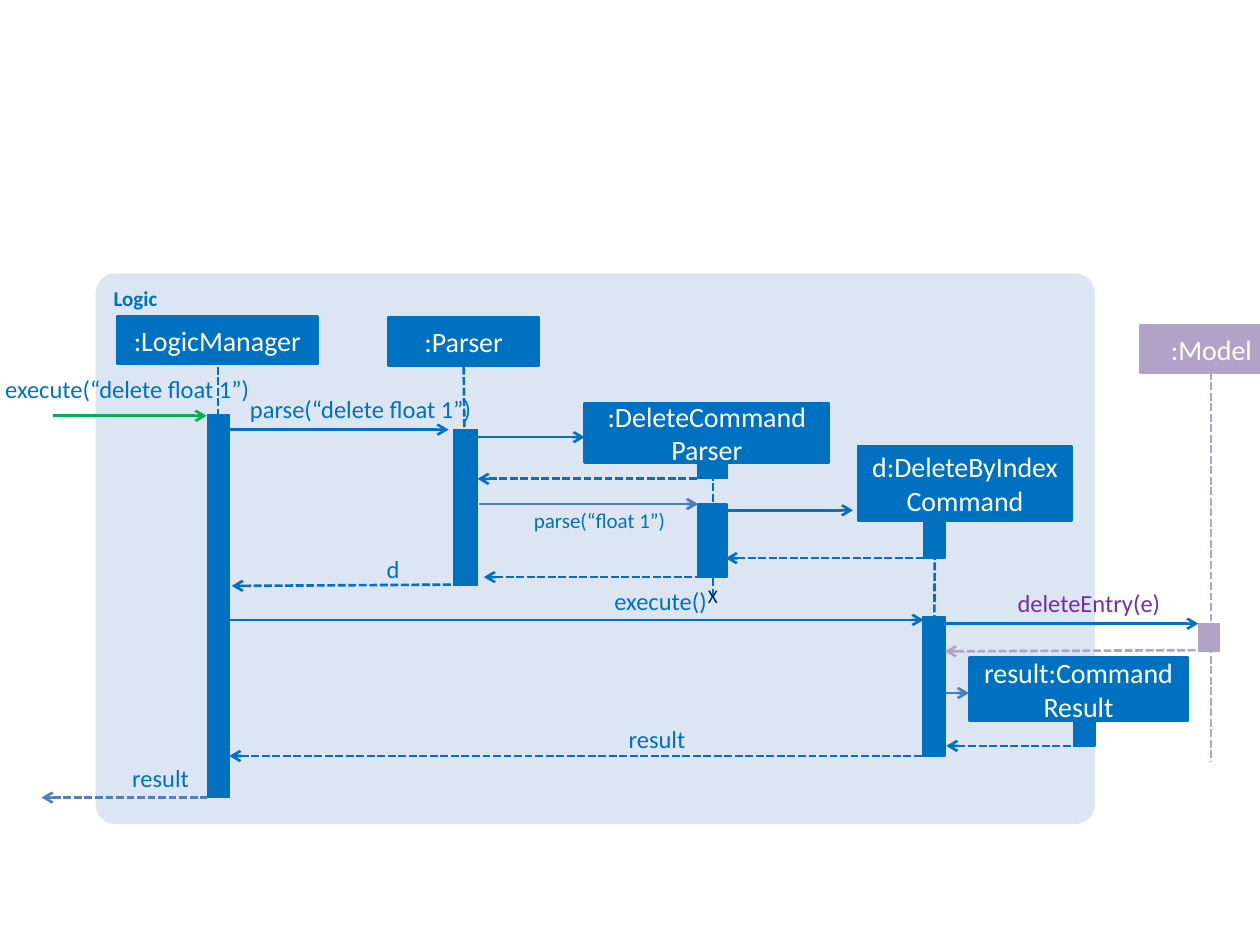
"""Build a sequence diagram of a delete command passing through the Logic component."""
from dataclasses import dataclass

from lxml.etree import SubElement
from pptx import Presentation
from pptx.dml.color import RGBColor
from pptx.enum.dml import MSO_LINE
from pptx.enum.shapes import MSO_CONNECTOR, MSO_SHAPE
from pptx.enum.text import MSO_ANCHOR as Anchor, MSO_AUTO_SIZE as AutoSize, PP_ALIGN as Align
from pptx.oxml.ns import qn
from pptx.util import Inches, Pt


@dataclass(frozen=True)
class Theme:
    """Colours, font and sizes of the diagram."""
    logic: str = "0070C0"
    model: str = "B3A2C7"
    panel: str = "DCE6F2"
    entry: str = "00B050"
    inner: str = "4B7EBC"
    outer: str = "4F81BD"
    model_call: str = "7030A0"
    destroyed: str = "002060"
    light: str = "FFFFFF"
    font: str = "Calibri"
    object_size: float = 16
    label_size: float = 14
    small_size: float = 12
    mark_size: float = 11
    line_width: float = 1.5
    bar_width: float = 0.75


def write(frame, text, *, font, size, color, bold=False, align=Align.LEFT, anchor=Anchor.TOP):
    """Fill a text frame, one paragraph per line; a vertical tab breaks within one."""
    frame.word_wrap = True
    frame.vertical_anchor = anchor
    for index, line in enumerate(text.split("\n")):
        paragraph = frame.paragraphs[0] if index == 0 else frame.add_paragraph()
        paragraph.text = line
        paragraph.alignment = align
        for run in paragraph.runs:
            run.font.name, run.font.size, run.font.bold = font, Pt(size), bold
            run.font.color.rgb = RGBColor.from_string(color)


class SequenceDiagram:
    """Draws sequence diagram elements on one slide in one style."""

    def __init__(self, slide, theme):
        self.shapes = slide.shapes
        self.theme = theme

    def block(self, place, fill, outline=None, kind=MSO_SHAPE.RECTANGLE):
        """Add a flat filled shape, outlined in its own colour if a width is given."""
        shape = self.shapes.add_shape(kind, *map(Inches, place))
        shape.shadow.inherit = False
        shape.fill.solid()
        shape.fill.fore_color.rgb = RGBColor.from_string(fill)
        if outline is None:
            shape.line.fill.background()
        else:
            shape.line.color.rgb = RGBColor.from_string(fill)
            shape.line.width = Pt(outline)
        return shape

    def component(self, text, place):
        """Add the rounded panel that encloses a component."""
        panel = self.block(place, self.theme.panel, kind=MSO_SHAPE.ROUNDED_RECTANGLE)
        panel.adjustments[0] = 0.035
        write(panel.text_frame, text, font=self.theme.font, size=self.theme.small_size,
              color=self.theme.logic, bold=True)

    def participant(self, text, place, color):
        """Add a named object box."""
        box = self.block(place, color, self.theme.line_width)
        write(box.text_frame, text, font=self.theme.font, size=self.theme.object_size,
              color=self.theme.light, align=Align.CENTER, anchor=Anchor.MIDDLE)

    def activation(self, place, color):
        """Add an activation bar."""
        self.block(place, color, self.theme.bar_width)

    def line(self, start, end, color, dashed=False, arrow_end=None):
        """Add a line, with an open arrow on its headEnd or tailEnd if asked."""
        connector = self.shapes.add_connector(
            MSO_CONNECTOR.STRAIGHT, *map(Inches, (*start, *end)))
        connector.line.color.rgb = RGBColor.from_string(color)
        connector.line.width = Pt(self.theme.line_width)
        if dashed:
            connector.line.dash_style = MSO_LINE.SQUARE_DOT
        properties = connector._element.spPr
        if arrow_end:
            SubElement(properties.find(qn("a:ln")), qn(f"a:{arrow_end}"), type="arrow")
        SubElement(properties, qn("a:effectLst"))

    def call(self, left, right, y, color):
        """Add a solid message arrow pointing right."""
        self.line((left, y), (right, y), color, arrow_end="tailEnd")

    def reply(self, left, right, y, color, right_y=None):
        """Add a dashed return arrow pointing left."""
        self.line((left, y), (right, right_y or y), color, dashed=True, arrow_end="headEnd")

    def label(self, text, place, color, size):
        """Add a right-aligned message label without insets."""
        frame = self.shapes.add_textbox(*map(Inches, place)).text_frame
        frame.margin_left = frame.margin_right = frame.margin_top = frame.margin_bottom = 0
        write(frame, text, font=self.theme.font, size=size, color=color, align=Align.RIGHT)
        frame.auto_size = AutoSize.SHAPE_TO_FIT_TEXT

    def destruction(self, place):
        """Mark the end of an object's life."""
        frame = self.shapes.add_textbox(*map(Inches, place)).text_frame
        write(frame, "X", font=self.theme.font, size=self.theme.mark_size,
              color=self.theme.destroyed)
        frame.word_wrap = False
        frame.auto_size = AutoSize.SHAPE_TO_FIT_TEXT


def main():
    """Draw the diagram and save it."""
    deck = Presentation()
    deck.slide_width, deck.slide_height = Inches(10), Inches(7.5)
    theme = Theme()
    diagram = SequenceDiagram(deck.slides.add_slide(deck.slide_layouts[6]), theme)
    logic, model = theme.logic, theme.model

    diagram.component("Logic", (0.76, 2.17, 7.93, 4.37))

    lifelines = [
        ((1.73, 2.91), (1.73, 5.75), logic),
        ((3.68, 2.91), (3.7, 4.65), logic),
        ((5.66, 3.67), (5.66, 4.75), logic),
        ((7.42, 4.13), (7.41, 6), logic),
        ((9.61, 2.95), (9.61, 6.05), model),
    ]
    for top, bottom, color in lifelines:
        diagram.line(top, bottom, color, dashed=True)

    activations = [
        ((1.65, 3.29, 0.17, 3.04), logic),
        ((3.6, 3.41, 0.19, 1.24), logic),
        ((5.54, 3.67, 0.23, 0.13), logic),
        ((5.54, 4, 0.23, 0.58), logic),
        ((7.33, 4.13, 0.17, 0.3), logic),
        ((7.32, 4.89, 0.18, 1.11), logic),
        ((8.52, 5.73, 0.17, 0.19), logic),
        ((9.51, 4.95, 0.17, 0.22), model),
    ]
    for place, color in activations:
        diagram.activation(place, color)

    participants = [
        (":LogicManager", (0.93, 2.51, 1.59, 0.38), logic),
        (":Parser", (3.08, 2.52, 1.2, 0.38), logic),
        (":DeleteCommand\nParser", (4.64, 3.2, 1.94, 0.47), logic),
        ("d:DeleteByIndex\vCommand", (6.81, 3.54, 1.7, 0.59), logic),
        ("result:Command Result", (7.69, 5.22, 1.74, 0.5), logic),
        (":Model", (9.05, 2.58, 1.13, 0.38), model),
    ]
    for text, place, color in participants:
        diagram.participant(text, place, color)

    calls = [
        (0.42, 1.64, 3.3, theme.entry),
        (1.82, 3.56, 3.41, logic),
        (3.74, 4.64, 3.47, logic),
        (3.8, 5.54, 4, theme.inner),
        (5.76, 6.77, 4.05, logic),
        (1.82, 7.33, 4.92, logic),
        (7.5, 9.51, 4.95, logic),
        (7.51, 7.69, 5.5, theme.inner),
    ]
    for message in calls:
        diagram.call(*message)

    replies = [
        (3.79, 5.54, 3.8, logic),
        (5.76, 7.39, 4.43, logic),
        (3.84, 5.66, 4.58, logic),
        (1.84, 3.58, 4.65, logic, 4.64),
        (7.5, 9.51, 5.17, model, 5.16),
        (7.51, 8.57, 5.92, logic),
        (1.82, 7.34, 6, logic),
        (0.33, 1.64, 6.33, theme.outer),
    ]
    for message in replies:
        diagram.reply(*message)

    labels = [
        ("execute(“delete float 1”)", (-0.12, 2.97, 2.1, 0.24), logic, theme.label_size),
        ("parse(“delete float 1”)", (1.75, 3.13, 1.99, 0.24), logic, theme.label_size),
        ("parse(“float 1”)", (4.17, 4.03, 1.11, 0.2), logic, theme.small_size),
        ("d", (2.93, 4.4, 0.24, 0.24), logic, theme.label_size),
        ("execute()", (4.67, 4.65, 0.94, 0.24), logic, theme.label_size),
        ("deleteEntry(e)", (7.65, 4.67, 1.56, 0.24), theme.model_call, theme.label_size),
        ("result", (4.76, 5.75, 0.68, 0.24), logic, theme.label_size),
        ("result", (0.67, 6.06, 0.83, 0.24), logic, theme.label_size),
    ]
    for label in labels:
        diagram.label(*label)

    diagram.destruction((5.52, 4.59, 0.28, 0.29))
    deck.save("out.pptx")


if __name__ == "__main__":
    main()
